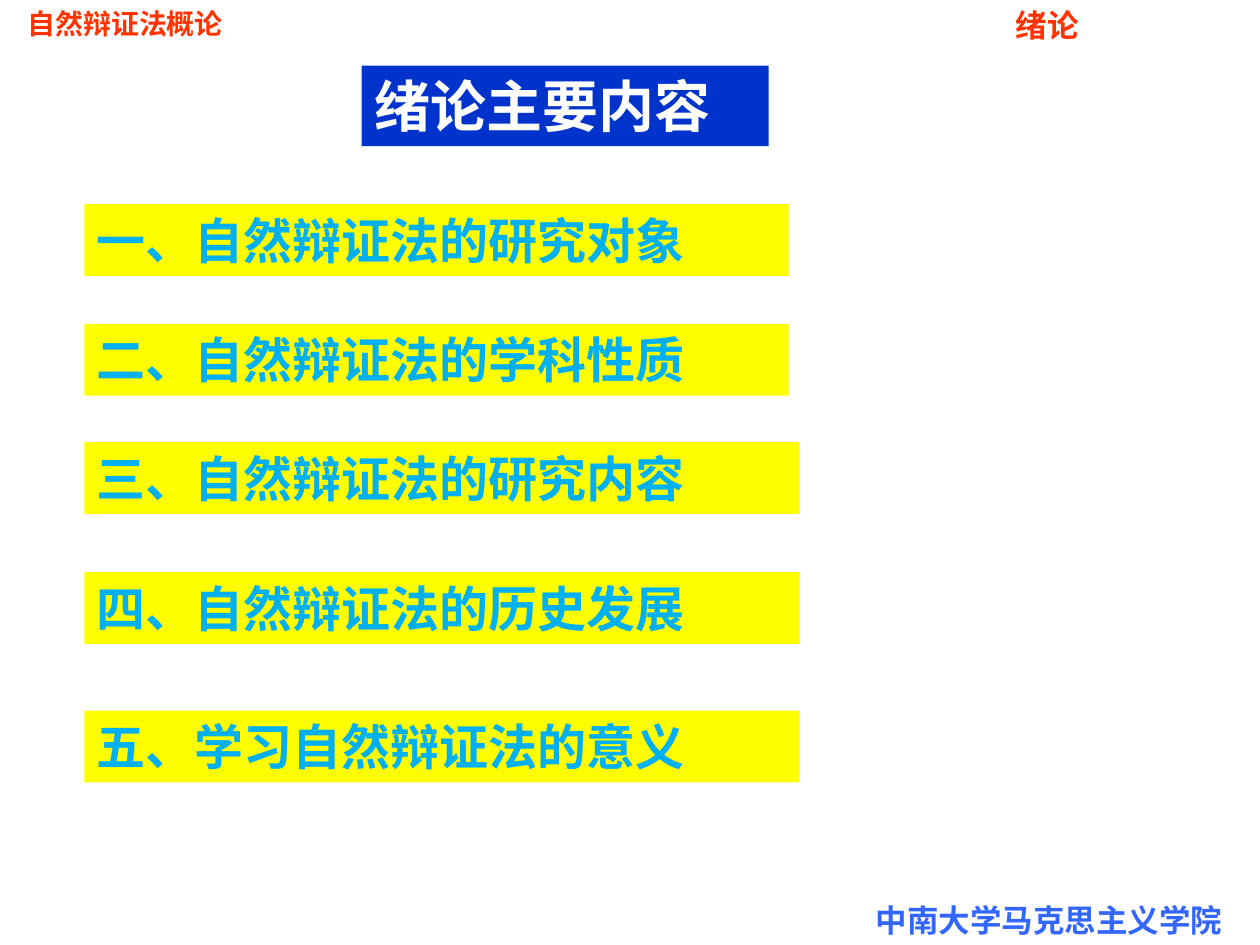
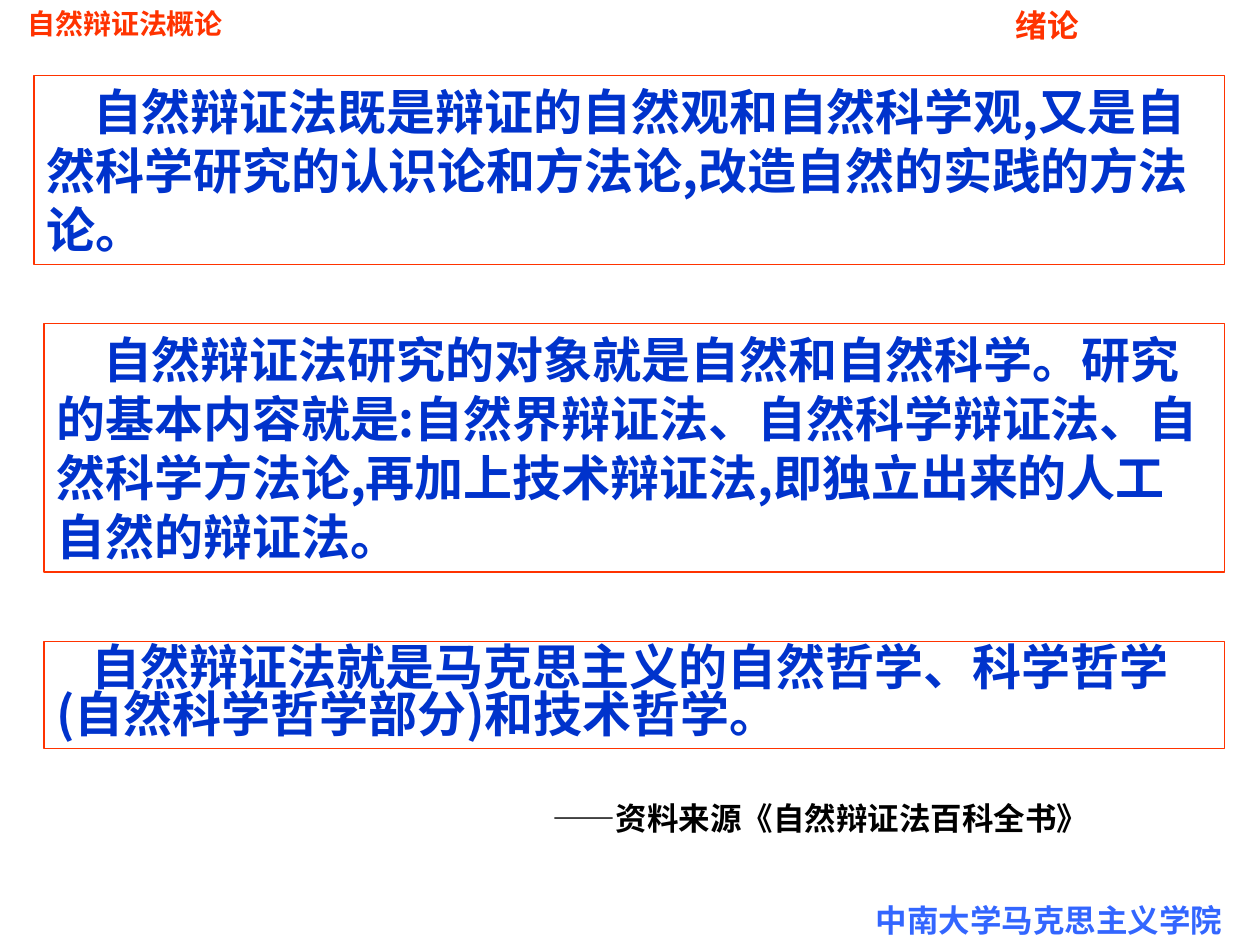
from pptx import Presentation
from pptx.dml.color import RGBColor
from pptx.enum.shapes import MSO_SHAPE as Preset
from pptx.enum.text import MSO_ANCHOR as Anchor, MSO_AUTO_SIZE as AutoSize, PP_ALIGN as Align
from pptx.util import Inches, Pt

COLUMNS, ROWS = 100, 75
CELL = Inches(0.1)
TITLE_ONLY, BLANK = 5, 6
RED, BLUE, SKY, PALE_BLUE = "FF3300", "0033CC", "00B0F0", "3366FF"
YELLOW, WHITE, BLACK = "FFFF00", "FFFFFF", "000000"

HEADING = {"size": 32, "color": WHITE}
TOPIC = {"size": 28, "color": SKY}
QUOTE = {"size": 28, "color": BLUE, "name": "Noto Sans CJK SC"}
SOURCE = {"size": 18, "color": BLACK, "line_spacing": 0.8}

# Each band: text, box in cells, format
BANDS = [
    ("自然辩证法概论", (1.2, 0, 37.8, 3.7), {"size": 16, "color": RED}),
    ("中南大学马克思主义学院", (68.5, 71, 31.5, 4), {"size": 18, "color": PALE_BLUE}),
    ("绪论", (63.4, 0, 36.6, 4),
     {"size": 18, "color": RED, "alignment": Align.CENTER, "margin": 2.8}),
]

# Each topic: text, row below the top of the list, width in columns
TOPICS = [
    ("一、自然辩证法的研究对象", 0, 55.9),
    ("二、自然辩证法的学科性质", 9.5, 55.9),
    ("三、自然辩证法的研究内容", 18.9, 56.7),
    ("四、自然辩证法的历史发展", 29.2, 56.7),
    ("五、学习自然辩证法的意义", 40.2, 56.7),
]

# Each quote: text, inset from the left, row below the top, height, format
QUOTES = [
    ("自然辩证法既是辩证的自然观和自然科学观,又是自然科学研究的认识论和方法论,"
     "改造自然的实践的方法论。", 0, 0, 15, {"indent": 3.7}),
    ("自然辩证法研究的对象就是自然和自然科学。研究的基本内容就是:自然界辩证法、"
     "自然科学辩证法、自然科学方法论,再加上技术辩证法,即独立出来的人工自然的辩证法。",
     0.8, 19.7, 19.7, {"indent": 3.7}),
    ("自然辩证法就是马克思主义的自然哲学、科学哲学(自然科学哲学部分)和技术哲学。",
     0.8, 44.9, 8.5, {"indent": 2.8, "line_spacing": 0.8}),
]


def cells(count):
    return round(count * CELL)


def rgb(value):
    return RGBColor.from_string(value)


def place(shape, box):
    for name, count in zip(("left", "top", "width", "height"), box):
        setattr(shape, name, cells(count))


def write(shape, text, style):
    """Fill the shape with one bold paragraph; margin and indent are in cells."""
    frame = shape.text_frame
    frame_format = {"word_wrap": True, "auto_size": AutoSize.NONE, "vertical_anchor": Anchor.TOP}
    for name, value in frame_format.items():
        setattr(frame, name, value)
    paragraph = frame.paragraphs[0]
    paragraph.text = text
    paragraph.alignment = style.get("alignment", Align.LEFT)
    paragraph.line_spacing = style.get("line_spacing", 1.0)
    properties = paragraph._p.get_or_add_pPr()
    properties.set("marL", str(cells(style.get("margin", 0))))
    properties.set("indent", str(cells(style.get("indent", 0))))
    font = paragraph.runs[0].font
    font_format = {"name": style.get("name", "Arial"), "size": Pt(style["size"]), "bold": True}
    for name, value in font_format.items():
        setattr(font, name, value)
    font.color.rgb = rgb(style["color"])


def paint(shape, fill=None, line=None):
    if fill:
        shape.fill.solid()
        shape.fill.fore_color.rgb = rgb(fill)
    else:
        shape.fill.background()
    if line:
        shape.line.color.rgb = rgb(line)
        shape.line.width = Pt(0.75)
    else:
        shape.line.fill.background()


def add_text(slide, text, box, style):
    textbox = slide.shapes.add_textbox(0, 0, 0, 0)
    place(textbox, box)
    write(textbox, text, style)
    return textbox


def add_panel(slide, text, box, style, **paints):
    panel = slide.shapes.add_shape(Preset.RECTANGLE, 0, 0, 0, 0)
    panel.shadow.inherit = False
    place(panel, box)
    paint(panel, **paints)
    write(panel, text, style)


def add_bands_to_master(slide):
    """Draw the bands on the slide, then move them to its master."""
    tree = slide.slide_layout.slide_master.shapes._spTree
    for text, box, style in BANDS:
        tree.append(add_text(slide, text, box, style)._element)


def add_heading(slide, text, box):
    title = slide.shapes.title
    place(title, box)
    paint(title, fill=BLUE)
    write(title, text, HEADING)


def add_topics(slide, left, top, bar_height):
    for text, row, width in TOPICS:
        add_panel(slide, text, (left, top + row, width, bar_height), TOPIC, fill=YELLOW)


def add_quotes(slide, left, top, width):
    for text, inset, row, height, extra in QUOTES:
        box = (left + inset, top + row, width - inset, height)
        add_panel(slide, text, box, {**QUOTE, **extra}, line=RED)


def build_contents(presentation):
    slide = presentation.slides.add_slide(presentation.slide_layouts[TITLE_ONLY])
    add_bands_to_master(slide)
    add_heading(slide, "绪论主要内容", (28.7, 5.2, 32.3, 6.4))
    add_topics(slide, 6.7, 16.2, 5.7)


def build_definition(presentation):
    slide = presentation.slides.add_slide(presentation.slide_layouts[BLANK])
    add_quotes(slide, 2.7, 6, 94.5)
    add_text(slide, "——资料来源《自然辩证法百科全书》", (42.9, 63.5, 52.8, 3.4), SOURCE)


def main():
    presentation = Presentation()
    presentation.slide_width = cells(COLUMNS)
    presentation.slide_height = cells(ROWS)
    build_contents(presentation)
    build_definition(presentation)
    presentation.save("out.pptx")


if __name__ == "__main__":
    main()
